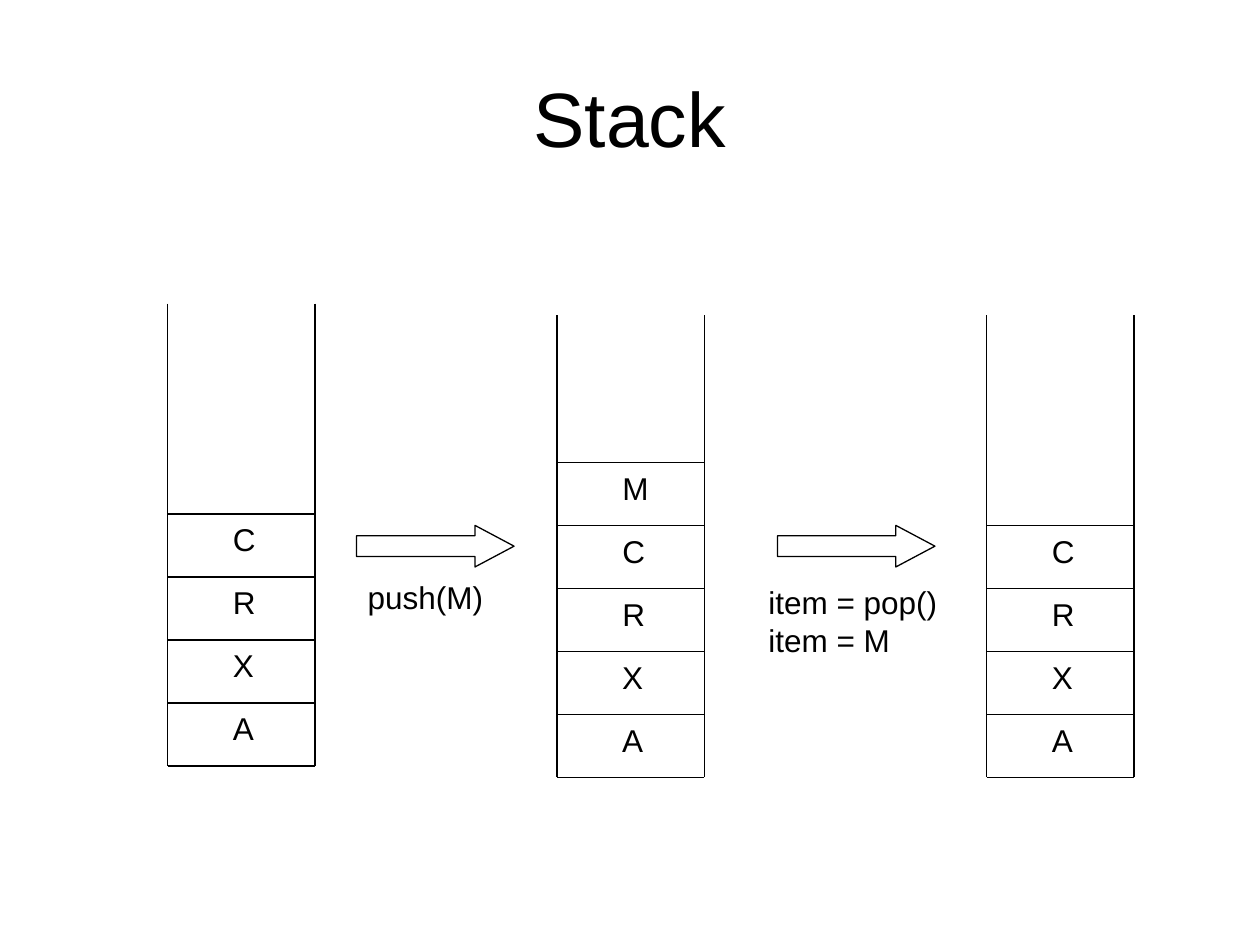
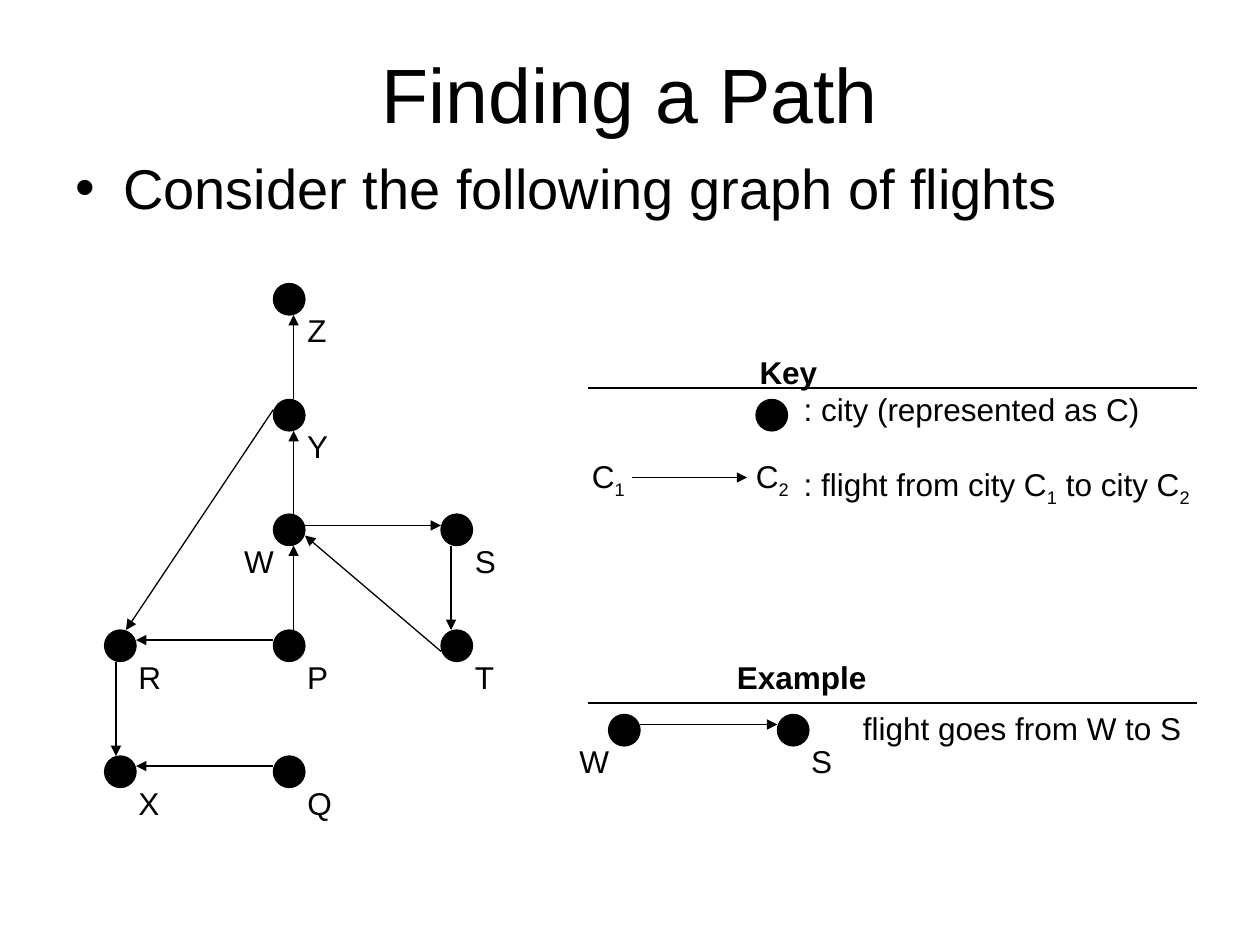
from dataclasses import dataclass

from lxml import etree
from pptx import Presentation
from pptx.dml.color import RGBColor
from pptx.enum.shapes import MSO_CONNECTOR, MSO_SHAPE
from pptx.enum.text import MSO_ANCHOR, PP_ALIGN
from pptx.oxml.ns import qn
from pptx.util import Inches, Pt

STRAIGHT = MSO_CONNECTOR.STRAIGHT
OVAL, RIGHT_ARROW = MSO_SHAPE.OVAL, MSO_SHAPE.RIGHT_ARROW
TOP, MIDDLE = MSO_ANCHOR.TOP, MSO_ANCHOR.MIDDLE
LEFT, CENTER = PP_ALIGN.LEFT, PP_ALIGN.CENTER

FONT = "Arial"
INK = "000000"
LINE_WIDTH = 0.75
TEXT_SIZE, BODY_SIZE, TITLE_SIZE = 18, 32, 44

LABEL_HEIGHT = 0.4
LETTER_WIDTHS = {"R": 0.38, "C": 0.38, "M": 0.41, "Q": 0.39, "W": 0.43,
                 "Z": 0.35, "T": 0.35}
STACK_WIDTH, STACK_HEIGHT, CELL_HEIGHT = 1.17, 3.67, 0.5
NODE_SIZE = 0.25


@dataclass
class Stack:
    left: float
    floor: float
    items: str  # from bottom to top


@dataclass
class Operation:
    arrow_left: float
    text: str
    left: float
    top: float
    width: float
    height: float


@dataclass
class City:
    name: str
    left: float
    top: float
    label_dx: float = 0.17


@dataclass
class Line:
    x1: float
    y1: float
    x2: float
    y2: float


STACKS = [
    Stack(1.33, 6.08, "AXRC"),
    Stack(4.42, 6.17, "AXRCM"),
    Stack(7.83, 6.17, "AXRC"),
]
OPERATIONS = [
    Operation(2.83, "push(M)", 2.82, 4.54, 1.2, 0.4),
    Operation(6.17, "item = pop()\nitem = M", 6, 4.58, 1.6, 0.7),
]
CITIES = [
    City("P", 2.17, 5),
    City("R", 0.83, 5),
    City("X", 0.83, 6),
    City("Q", 2.17, 6),
    City("W", 2.17, 4.08, -0.33),
    City("Y", 2.17, 3.17),
    City("Z", 2.17, 2.25),
    City("S", 3.5, 4.08),
    City("T", 3.5, 5),
    City("W", 4.83, 5.67, -0.33),
    City("S", 6.17, 5.67),
]
FLIGHTS = [
    Line(2.17, 5.08, 1.08, 5.08),
    Line(2.17, 6.08, 1.08, 6.08),
    Line(0.92, 5.25, 0.92, 6),
    Line(2.17, 3.25, 1, 5),
    Line(2.33, 5, 2.33, 4.33),
    Line(2.33, 4.08, 2.33, 3.42),
    Line(2.33, 3.17, 2.33, 2.5),
    Line(2.42, 4.17, 3.5, 4.17),
    Line(3.58, 4.33, 3.58, 5),
    Line(3.5, 5.17, 2.42, 4.25),
    Line(5.02, 3.79, 5.93, 3.79),
    Line(5.08, 5.75, 6.17, 5.75),
]
RULES = [Line(4.67, y, 9.5, y) for y in (3.08, 5.58)]


def color(value: str) -> RGBColor:
    return RGBColor.from_string(value)


def fill_paragraph(p, text: str, size: float, bold: bool) -> None:
    """Write text in which an underscore lowers the next character."""
    head, *rest = text.split("_")
    pieces = [(head, False)]
    for part in rest:
        pieces += [(part[0], True), (part[1:], False)]
    for piece, lowered in pieces:
        if not piece:
            continue
        r = p.add_run()
        r.text = piece
        r.font.name = FONT
        r.font.size = Pt(size)
        r.font.bold = bold
        r.font.color.rgb = color(INK)
        if lowered:
            r.font._element.set("baseline", "-25000")


def add_text(s, text: str, left: float, top: float, width: float,
             height: float = LABEL_HEIGHT, *, size: float = TEXT_SIZE,
             bold: bool = False, align=LEFT, anchor=TOP, wrap: bool = False):
    box = s.shapes.add_textbox(Inches(left), Inches(top),
                               Inches(width), Inches(height))
    tf = box.text_frame
    tf.word_wrap = wrap
    tf.vertical_anchor = anchor
    for i, line in enumerate(text.split("\n")):
        p = tf.add_paragraph() if i else tf.paragraphs[0]
        p.alignment = align
        fill_paragraph(p, line, size, bold)
    return tf


def add_letter(s, letter: str, left: float, top: float) -> None:
    add_text(s, letter, left, top, LETTER_WIDTHS.get(letter, 0.36))


def indent(p, left: float, first: float = 0):
    pPr = p._p.get_or_add_pPr()
    pPr.set("marL", str(Inches(left)))
    pPr.set("indent", str(Inches(first)))
    return pPr


def add_line(s, line: Line, arrow: bool = False) -> None:
    c = s.shapes.add_connector(STRAIGHT, Inches(line.x1), Inches(line.y1),
                               Inches(line.x2), Inches(line.y2))
    c.line.color.rgb = color(INK)
    c.line.width = Pt(LINE_WIDTH)
    if arrow:
        tail = etree.SubElement(c.line._get_or_add_ln(), qn("a:tailEnd"))
        tail.set("type", "triangle")
    etree.SubElement(c._element.spPr, qn("a:effectLst"))


def add_outlined(s, kind, left: float, top: float, width: float,
                 height: float, fill: str | None = None):
    sp = s.shapes.add_shape(kind, Inches(left), Inches(top),
                            Inches(width), Inches(height))
    sp.shadow.inherit = False
    if fill:
        sp.fill.solid()
        sp.fill.fore_color.rgb = color(fill)
    else:
        sp.fill.background()
    sp.line.color.rgb = color(INK)
    sp.line.width = Pt(LINE_WIDTH)
    return sp


def add_dot(s, left: float, top: float) -> None:
    add_outlined(s, OVAL, left, top, NODE_SIZE, NODE_SIZE, INK)


def add_city(s, city: City) -> None:
    add_dot(s, city.left, city.top)
    add_letter(s, city.name, city.left + city.label_dx, city.top + 0.17)


def add_stack(s, stack: Stack) -> None:
    right = stack.left + STACK_WIDTH
    for x in (stack.left, right):
        add_line(s, Line(x, stack.floor - STACK_HEIGHT, x, stack.floor))
    add_line(s, Line(stack.left, stack.floor, right, stack.floor))
    for i, item in enumerate(stack.items, start=1):
        y = stack.floor - i * CELL_HEIGHT
        add_line(s, Line(stack.left, y, right, y))
        add_letter(s, item, stack.left + 0.42, y)


def add_operation(s, op: Operation) -> None:
    arrow = add_outlined(s, RIGHT_ARROW, op.arrow_left, 4.17, 1.25, 0.33)
    arrow.adjustments[0] = 0.5
    arrow.adjustments[1] = 0.94
    add_text(s, op.text, op.left, op.top, op.width, op.height)


def add_slide(prs, title: str, title_height: float):
    s = prs.slides.add_slide(prs.slide_layouts[6])
    add_text(s, title, 0.5, 0.3, 9, title_height, size=TITLE_SIZE,
             align=CENTER, anchor=MIDDLE, wrap=True)
    return s


def add_bullet(s, text: str) -> None:
    tf = add_text(s, text, 0.5, 1.17, 9, 0.83, size=BODY_SIZE, wrap=True)
    pPr = indent(tf.paragraphs[0], 0.38, -0.38)
    etree.SubElement(pPr, qn("a:buFont")).set("typeface", FONT)
    etree.SubElement(pPr, qn("a:buChar")).set("char", "•")


def add_key(s) -> None:
    tf = add_text(s, "Key", 5.93, 2.75, 3.8, 1.34, bold=True)
    for text, gap in ((": city (represented as C)", 0),
                      (": flight from city C_1 to city C_2", 21)):
        p = tf.add_paragraph()
        indent(p, 0.35)
        p.space_before = Pt(gap)
        fill_paragraph(p, text, TEXT_SIZE, False)
    add_dot(s, 6, 3.17)
    add_text(s, "C_1", 4.6, 3.58, 0.5)
    add_text(s, "C_2", 5.9, 3.58, 0.5)


def build_stack_slide(prs) -> None:
    s = add_slide(prs, "Stack", 1.25)
    for stack in STACKS:
        add_stack(s, stack)
    for op in OPERATIONS:
        add_operation(s, op)


def build_path_slide(prs) -> None:
    s = add_slide(prs, "Finding a Path", 0.87)
    add_bullet(s, "Consider the following graph of flights")
    for city in CITIES:
        add_city(s, city)
    for flight in FLIGHTS:
        add_line(s, flight, arrow=True)
    for rule in RULES:
        add_line(s, rule)
    add_key(s)
    add_text(s, "Example", 5.75, 5.17, 1.3, bold=True)
    add_text(s, "flight goes from W to S", 6.75, 5.58, 2.8)


def main() -> None:
    prs = Presentation()
    prs.slide_width, prs.slide_height = Inches(10), Inches(7.5)
    build_stack_slide(prs)
    build_path_slide(prs)
    prs.save("out.pptx")


if __name__ == "__main__":
    main()
